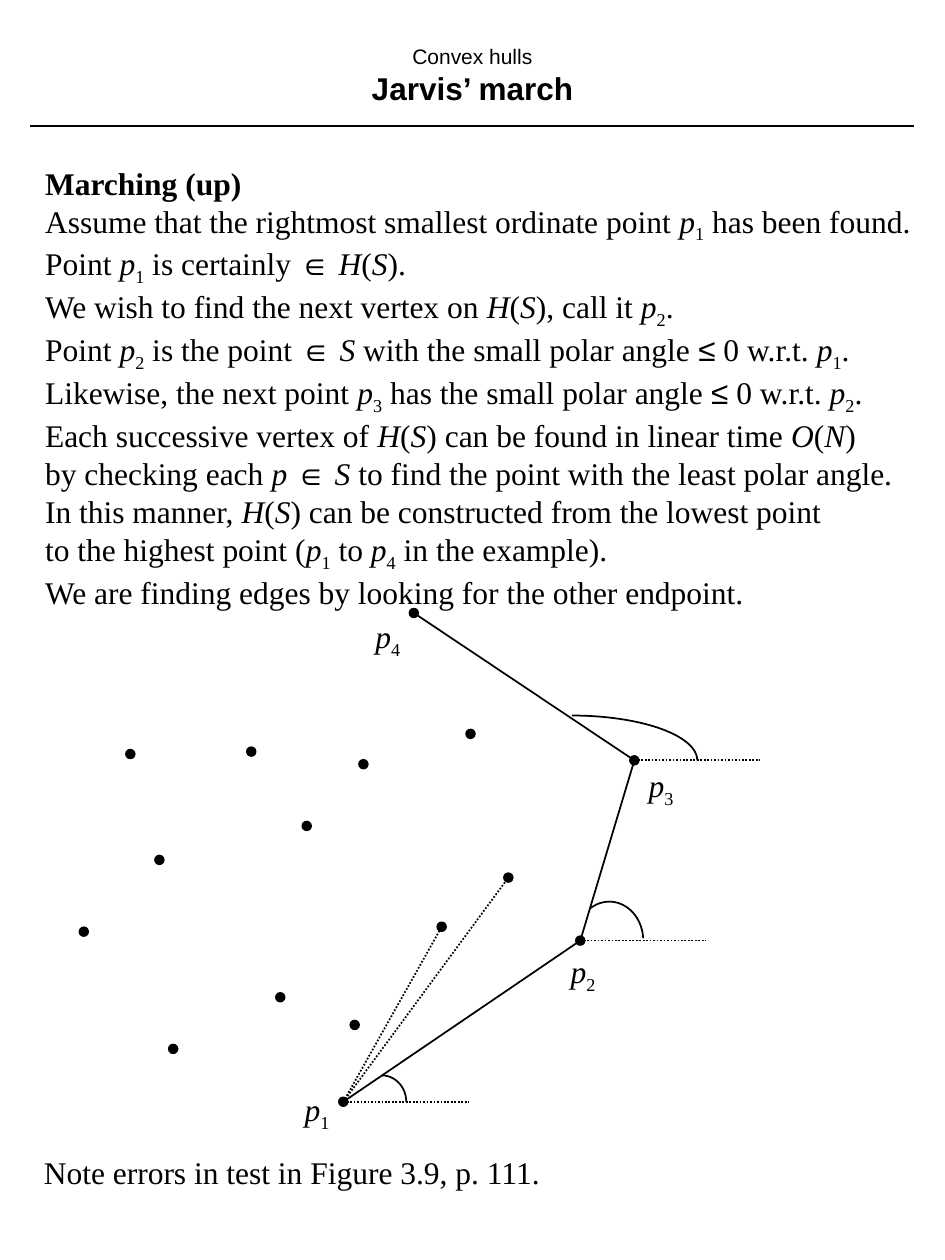
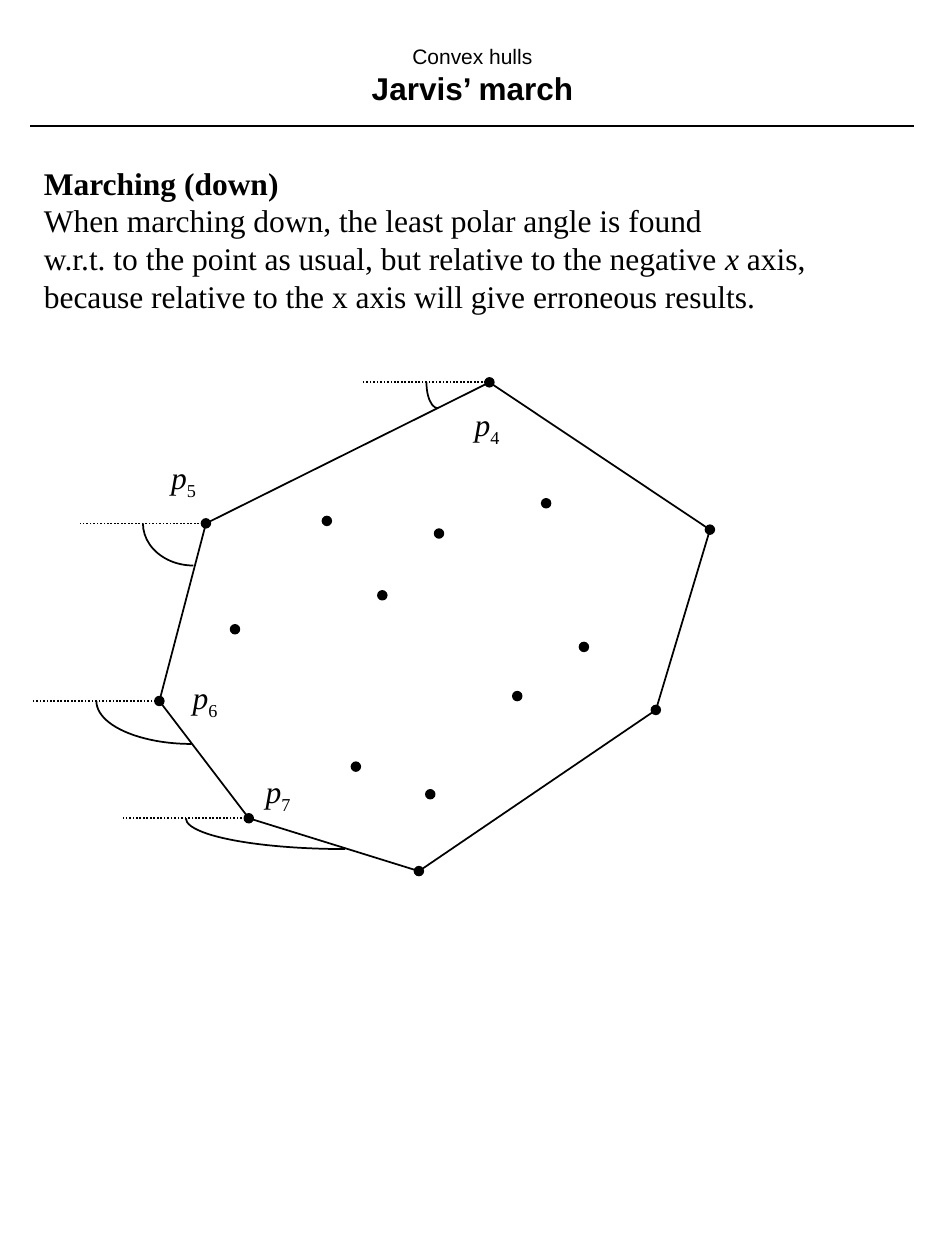
"""Build two slides on Jarvis' march: marching up and marching down a convex hull."""
from dataclasses import dataclass
from itertools import groupby

from lxml import etree
from pptx import Presentation
from pptx.dml.color import RGBColor
from pptx.enum.dml import MSO_LINE
from pptx.enum.shapes import MSO_CONNECTOR, MSO_SHAPE
from pptx.enum.text import MSO_ANCHOR, MSO_AUTO_SIZE, PP_ALIGN
from pptx.oxml.ns import qn
from pptx.util import Pt

STRAIGHT = MSO_CONNECTOR.STRAIGHT
DOTTED = MSO_LINE.ROUND_DOT
ELLIPSE, ARC = MSO_SHAPE.OVAL, MSO_SHAPE.ARC
CENTER, MIDDLE = PP_ALIGN.CENTER, MSO_ANCHOR.MIDDLE
GROW = MSO_AUTO_SIZE.SHAPE_TO_FIT_TEXT


@dataclass(frozen=True)
class Theme:
    ink: RGBColor = RGBColor(0, 0, 0)
    heading_font: str = "Arial"
    body_font: str = "Times New Roman"
    topic_size: int = 12
    text_size: int = 18
    line_width: int = 1
    dot: int = 5
    ray: int = 72


THEME = Theme()

TOPIC, TITLE = "Convex hulls", "Jarvis’ march"
SYMBOLS = "∈≤"

HULL = {
    "1": (196.2, 629.6), "2": (331.6, 537.5), "3": (362.5, 434.5),
    "4": (236.5, 350.3), "5": (74.5, 430.9), "6": (47.9, 532.4),
    "7": (99, 599.4),
}
INNER = [
    (91.1, 491.4), (160.2, 569.9), (175.3, 472), (143.6, 429.5),
    (207.7, 436.7), (268.9, 419.4), (290.5, 501.5), (252.4, 529.6),
    (202.7, 585.7),
]

# Markup: *italic* and ~subscript~
UP_TEXT = [
    "Assume that the rightmost smallest ordinate point *p*~1~ has been found.",
    "Point *p*~1~ is certainly ∈ *H*(*S*).",
    "We wish to find the next vertex on *H*(*S*), call it *p*~2~.",
    "Point *p*~2~ is the point ∈ *S* with the small polar angle ≤ 0 w.r.t. *p*~1~.",
    "Likewise, the next point *p*~3~ has the small polar angle ≤ 0 w.r.t. *p*~2~.",
    "Each successive vertex of *H*(*S*) can be found in linear time *O*(*N*)",
    "by checking each *p* ∈ *S* to find the point with the least polar angle.",
    "In this manner, *H*(*S*) can be constructed from the lowest point",
    "to the highest point (*p*~1~ to *p*~4~ in the example).",
    "We are finding edges by looking for the other endpoint.",
]
DOWN_TEXT = [
    "When marching down, the least polar angle is found",
    "w.r.t. to the point as usual, but relative to the negative *x* axis,",
    "because relative to the x axis will give erroneous results.",
]

MARCHES = [
    {
        "heading": "Marching (up)", "lines": UP_TEXT,
        "frame": (18.7, 90, 509, 262), "shift": (0, 0),
        "edges": ["12", "23", "34"], "direction": 1, "sights": [INNER[7], INNER[6]],
        "arcs": {"1": (14, 15.1, 270, 0), "2": (19.4, 22.3, 238.4, 356),
                 "3": (71.6, 25.6, 270, 0)},
        "labels": {"1": (-29.2, -10.4), "2": (-12.6, 3.2), "3": (1.1, -0.3),
                   "4": (-29.1, -1.1)},
        "note": ("Note errors in test in Figure 3.9, p. 111.", (18, 655.2, 299.5, 28.8)),
    },
    {
        "heading": "Marching (down)", "lines": DOWN_TEXT,
        "frame": (18, 90, 451.4, 93.6), "shift": (43.2, -131.8),
        "edges": ["12", "23", "34", "45", "56", "67", "71"], "direction": -1, "sights": [],
        "arcs": {"4": (6.5, 14.8, 90, 180), "5": (28.8, 24.1, 90, 180),
                 "6": (54.4, 24.5, 90, 180), "7": (91.1, 17.6, 90, 180)},
        "labels": {"4": (-15.5, 9.7), "5": (-27, -40.7), "6": (11.9, -16.9),
                   "7": (2.5, -29.9)},
        "note": None,
    },
]


def points(*values):
    return [Pt(value) for value in values]


def add_spans(para, text):
    for i, styled in enumerate(text.split("*")):
        for j, level in enumerate(styled.split("~")):
            for symbol, letters in groupby(level, lambda letter: letter in SYMBOLS):
                span = para.add_run()
                span.text = "".join(letters)
                if symbol:
                    span.font.name = THEME.heading_font
                if i % 2:
                    span.font.italic = True
                if j % 2:
                    span._r.get_or_add_rPr().set("baseline", "-25000")


def style_para(para, font_name, size):
    para.font.name = font_name
    para.font.size = Pt(size)
    para.font.color.rgb = THEME.ink


def add_text(page, frame, lines, heading=False):
    box = page.shapes.add_textbox(*points(*frame)).text_frame
    box.word_wrap = False
    box.auto_size = GROW
    for index, line in enumerate(lines):
        para = box.add_paragraph() if index else box.paragraphs[0]
        style_para(para, THEME.body_font, THEME.text_size)
        para.font.bold = heading and index == 0
        add_spans(para, line)


def style_line(shape, dash=None):
    shape.line.color.rgb = THEME.ink
    shape.line.width = Pt(THEME.line_width)
    if dash:
        shape.line.dash_style = dash


def add_line(page, start, end, dash=None):
    line = page.shapes.add_connector(STRAIGHT, *points(*start, *end))
    style_line(line, dash)
    etree.SubElement(line._element.spPr, qn("a:effectLst"))


def add_round(page, kind, center, radius_x, radius_y):
    x, y = center
    shape = page.shapes.add_shape(
        kind, *points(x - radius_x, y - radius_y, 2 * radius_x, 2 * radius_y))
    shape.shadow.inherit = False
    style_line(shape)
    return shape


def add_dot(page, center):
    dot = add_round(page, ELLIPSE, center, THEME.dot / 2, THEME.dot / 2)
    dot.fill.solid()
    dot.fill.fore_color.rgb = THEME.ink


def add_angle(page, vertex, direction, arc):
    x, y = vertex
    radius_x, radius_y, *angles = arc
    add_line(page, vertex, (x + direction * THEME.ray, y), DOTTED)
    center = (x + direction * (THEME.ray / 2 - radius_x), y)
    shape = add_round(page, ARC, center, radius_x, radius_y)
    shape.fill.background()
    for index, angle in enumerate(angles):
        shape.adjustments[index] = angle * 0.6


def add_header(page):
    box = page.shapes.add_textbox(*points(18, 18, 504, 49.7)).text_frame
    box.word_wrap = True
    box.vertical_anchor = MIDDLE
    para = box.paragraphs[0]
    para.alignment = CENTER
    style_para(para, THEME.heading_font, THEME.text_size)
    topic = para.add_run()
    topic.text = TOPIC
    topic.font.size = Pt(THEME.topic_size)
    para.add_line_break()
    title = para.add_run()
    title.text = TITLE
    title.font.bold = True
    add_line(page, (522, 72), (17.3, 72))


def add_march(page, march):
    def place(point):
        return tuple(value + move for value, move in zip(point, march["shift"]))

    hull = {name: place(point) for name, point in HULL.items()}
    add_header(page)
    add_text(page, march["frame"], [march["heading"], *march["lines"]], heading=True)
    for center in [*hull.values(), *map(place, INNER)]:
        add_dot(page, center)
    for start, end in march["edges"]:
        add_line(page, hull[start], hull[end])
    for target in march["sights"]:
        add_line(page, hull["1"], place(target), DOTTED)
    for name, arc in march["arcs"].items():
        add_angle(page, hull[name], march["direction"], arc)
    for name, (offset_x, offset_y) in march["labels"].items():
        x, y = hull[name]
        add_text(page, (x + offset_x, y + offset_y, 28.8, 31.7), [f"*p*~{name}~"])
    if march["note"]:
        note, frame = march["note"]
        add_text(page, frame, [note])


def main():
    deck = Presentation()
    deck.slide_width, deck.slide_height = points(540, 720)
    for march in MARCHES:
        add_march(deck.slides.add_slide(deck.slide_layouts[6]), march)
    deck.save("out.pptx")


if __name__ == "__main__":
    main()
